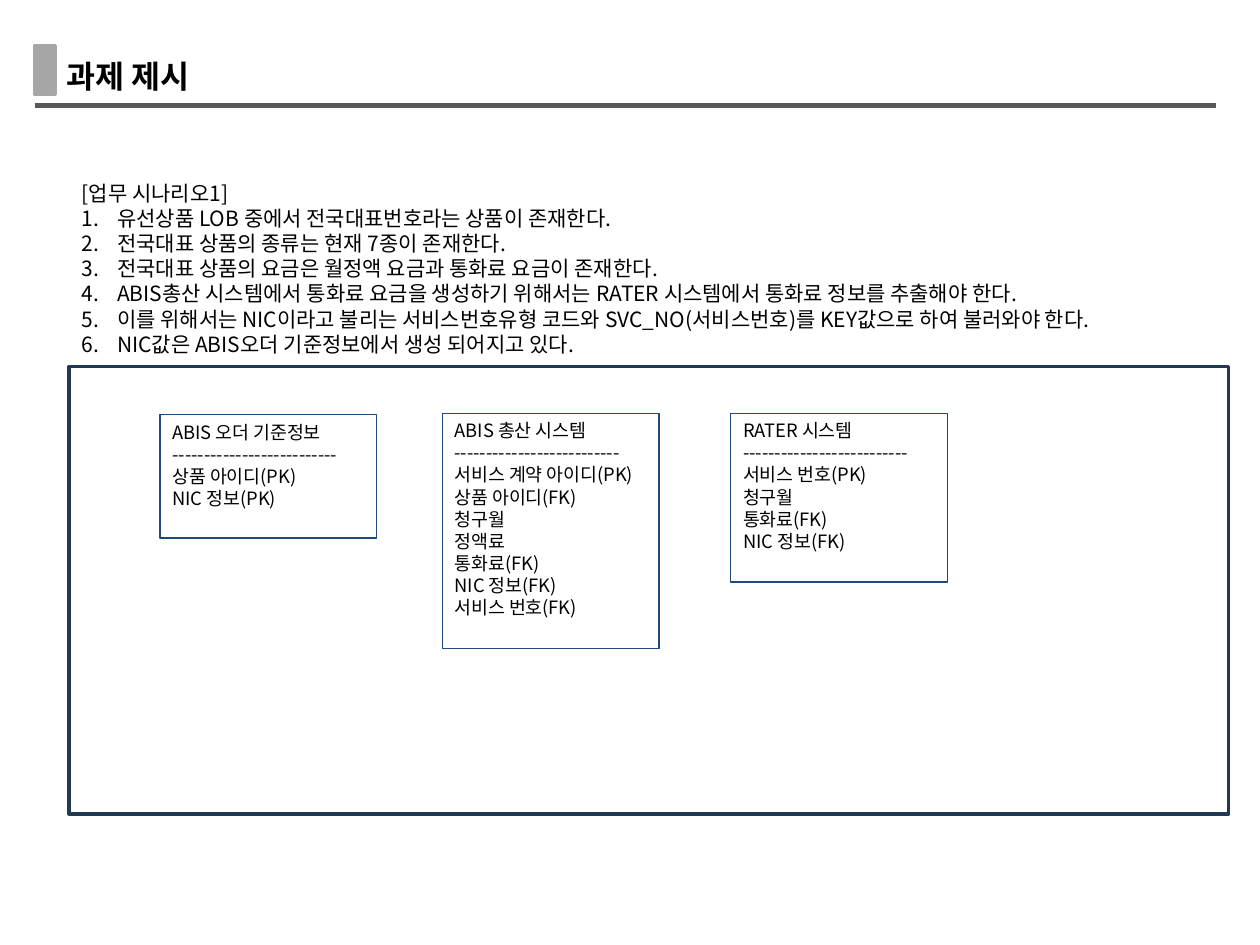
from lxml.etree import SubElement
from pptx import Presentation
from pptx.dml.color import RGBColor
from pptx.enum.shapes import MSO_CONNECTOR, MSO_SHAPE
from pptx.enum.text import MSO_ANCHOR, MSO_AUTO_SIZE, PP_ALIGN
from pptx.oxml.ns import qn
from pptx.util import Inches, Pt

FONT = "Noto Sans CJK KR"
COLORS = {
    "text": "000000",
    "rule": "595959",
    "marker": "A6A6A6",
    "frame": "233953",
    "entity": "1F497D",
}
SCENARIO = [
    "유선상품 LOB 중에서 전국대표번호라는 상품이 존재한다.",
    "전국대표 상품의 종류는 현재 7종이 존재한다.",
    "전국대표 상품의 요금은 월정액 요금과 통화료 요금이 존재한다.",
    "ABIS총산 시스템에서 통화료 요금을 생성하기 위해서는 RATER 시스템에서 통화료 정보를 추출해야 한다.",
    "이를 위해서는 NIC이라고 불리는 서비스번호유형 코드와 SVC_NO(서비스번호)를 KEY값으로 하여 불러와야 한다.",
    "NIC값은 ABIS오더 기준정보에서 생성 되어지고 있다.",
]
# Each entity: left and top within the frame, height, name, fields
ENTITIES = [
    (0.72, 0.38, 0.98, "ABIS 오더 기준정보", ["상품 아이디(PK)", "NIC 정보(PK)"]),
    (2.96, 0.37, 1.87, "ABIS 총산 시스템",
     ["서비스 계약 아이디(PK)", "상품 아이디(FK)", "청구월", "정액료",
      "통화료(FK)", "NIC 정보(FK)", "서비스 번호(FK)"]),
    (5.25, 0.37, 1.34, "RATER 시스템",
     ["서비스 번호(PK)", "청구월", "통화료(FK)", "NIC 정보(FK)"]),
]
ENTITY_WIDTH = 1.72
DIVIDER = "-" * 26


def color(name):
    return RGBColor.from_string(COLORS[name])


def place(shape, left, top, width, height):
    shape.left, shape.top = Inches(left), Inches(top)
    shape.width, shape.height = Inches(width), Inches(height)


def write(shape, lines, size, bold=False, wrap=True):
    """Fill a shape with left-aligned paragraphs from the top down."""
    frame = shape.text_frame
    frame.text = "\n".join(lines)
    frame.auto_size = MSO_AUTO_SIZE.NONE
    frame.word_wrap = wrap
    frame.vertical_anchor = MSO_ANCHOR.TOP
    for para in frame.paragraphs:
        para.alignment = PP_ALIGN.LEFT
        para.space_before = Pt(0)
        para.line_spacing = Pt(size * 1.2)
        para.font.size = Pt(size)
        para.font.bold = bold
        para.font.name = FONT
        para.font.color.rgb = color("text")
        for span in para.runs:
            SubElement(span.font._element, qn("a:ea"), typeface=FONT)
    return frame.paragraphs


def set_list_style(para, numbered):
    properties = para._p.get_or_add_pPr()
    indent = Inches(0.28) if numbered else 0
    properties.set("marL", str(indent))
    properties.set("indent", str(-indent))
    if numbered:
        bullet = SubElement(properties, qn("a:buAutoNum"), type="arabicPeriod")
    else:
        bullet = SubElement(properties, qn("a:buNone"))
    defaults = properties.find(qn("a:defRPr"))
    if defaults is not None:
        defaults.addprevious(bullet)


def add_rectangle(page, left, top, width, height, line, weight, fill=None):
    box = page.shapes.add_shape(
        MSO_SHAPE.RECTANGLE, Inches(left), Inches(top), Inches(width), Inches(height))
    box.shadow.inherit = False
    box.line.color.rgb = color(line)
    box.line.width = Pt(weight)
    if fill:
        box.fill.solid()
        box.fill.fore_color.rgb = color(fill)
    else:
        box.fill.background()
    return box


def add_header(page, left, top, width):
    title = page.shapes.title
    place(title, left + 0.15, top + 0.04, 1.3, 0.4)
    write(title, ["과제 제시"], 18, bold=True, wrap=False)
    rule_top = Inches(top + 0.48)
    rule = page.shapes.add_connector(
        MSO_CONNECTOR.STRAIGHT, Inches(left), rule_top, Inches(left + width), rule_top)
    rule.line.color.rgb = color("rule")
    rule.line.width = Pt(3)
    SubElement(rule._element.spPr, qn("a:effectLst"))
    add_rectangle(page, left, top, 0.16, 0.39, "marker", 2, fill="marker")


def add_scenario(page, left, top, width, height):
    body = page.placeholders[1]
    place(body, left, top, width, height)
    paragraphs = write(body, ["[업무 시나리오1]", *SCENARIO], 12)
    for index, para in enumerate(paragraphs):
        set_list_style(para, numbered=index > 0)


def add_entity_diagram(page, left, top, width, height):
    add_rectangle(page, left, top, width, height, "frame", 2)
    for x, y, entity_height, name, fields in ENTITIES:
        entity = add_rectangle(
            page, left + x, top + y, ENTITY_WIDTH, entity_height, "entity", 0.75)
        write(entity, [name, DIVIDER, *fields], 10.5)


def main():
    deck = Presentation()
    deck.slide_width, deck.slide_height = Inches(10), Inches(7.5)
    page = deck.slides.add_slide(deck.slide_layouts[1])
    add_header(page, 0.28, 0.36, 9.37)
    add_scenario(page, 0.55, 1.38, 9.11, 1.72)
    add_entity_diagram(page, 0.55, 2.91, 9.2, 3.55)
    deck.save("out.pptx")


if __name__ == "__main__":
    main()
